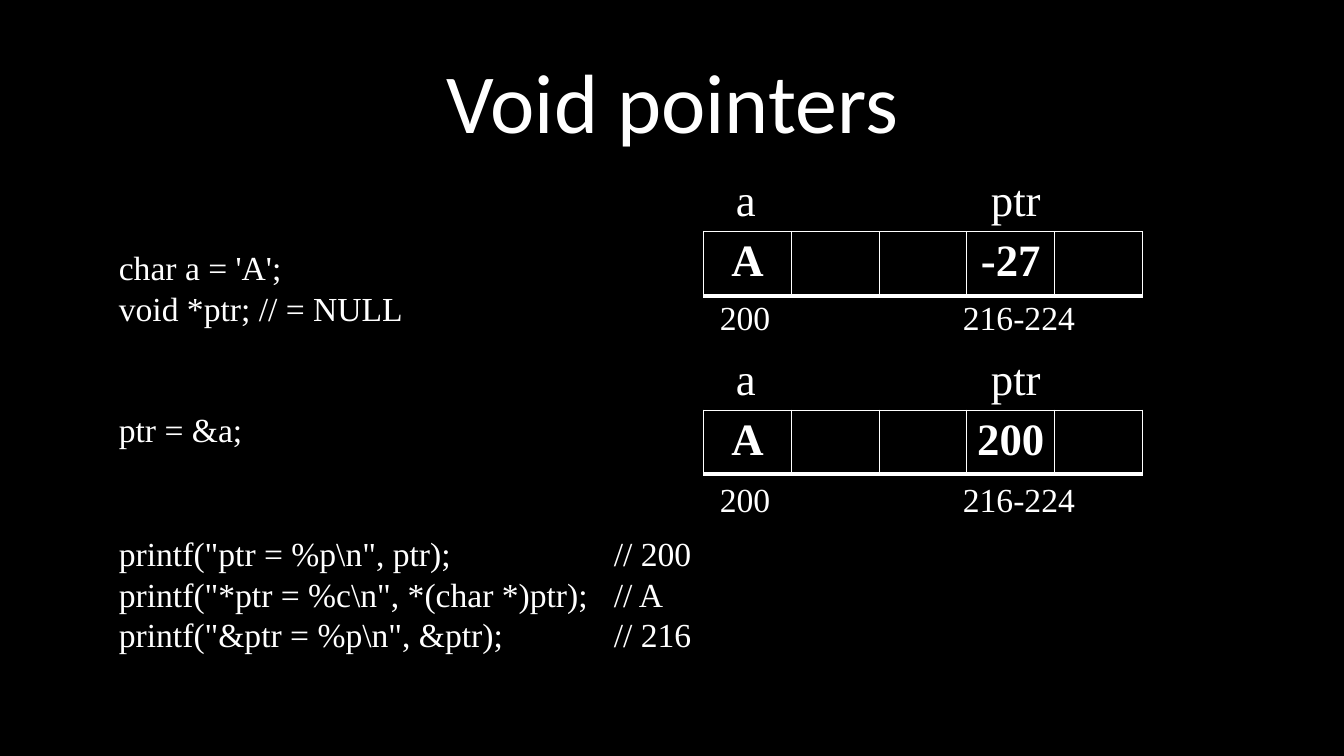
"""Build the slide on void pointers with code and two memory diagrams."""
from pptx import Presentation
from pptx.dml.color import RGBColor
from pptx.enum.text import MSO_ANCHOR, MSO_AUTO_SIZE, PP_ALIGN
from pptx.oxml.ns import qn
from pptx.util import Pt
from lxml.etree import SubElement

BLACK = RGBColor(0x00, 0x00, 0x00)
WHITE = RGBColor(0xFF, 0xFF, 0xFF)
SERIF = "Times New Roman"
CODE_LINE = 28.9
MEMORY_LEFT, CELL_WIDTH, CELL_HEIGHT = 502.6, 62.7, 45.4


def add_run(paragraph, text, size, font=SERIF, bold=False):
    run = paragraph.add_run()
    run.text = text
    run.font.size = Pt(size)
    run.font.name = font
    run.font.bold = bold
    run.font.color.rgb = WHITE


def add_lines(left, top, width, height, lines, size, tab, spacing=None):
    frame = slide.shapes.add_textbox(Pt(left), Pt(top), Pt(width), Pt(height)).text_frame
    frame.word_wrap = True
    for index, (text, blank_lines) in enumerate(lines):
        paragraph = frame.paragraphs[0] if index == 0 else frame.add_paragraph()
        if spacing:
            paragraph.line_spacing = Pt(spacing)
            paragraph.space_before = Pt(blank_lines * spacing)
        if tab:
            stops = SubElement(paragraph._p.get_or_add_pPr(), qn("a:tabLst"))
            SubElement(stops, qn("a:tab"), pos=str(Pt(tab)), algn="l")
        add_run(paragraph, text, size)


prs = Presentation()
prs.slide_width, prs.slide_height = Pt(960), Pt(540)
slide = prs.slides.add_slide(prs.slide_layouts[5])
slide.background.fill.solid()
slide.background.fill.fore_color.rgb = BLACK

title = slide.shapes.title
title.left, title.top, title.width, title.height = Pt(125.3), Pt(20.9), Pt(709.9), Pt(91.4)
title.text_frame.auto_size = MSO_AUTO_SIZE.NONE
title.text_frame.vertical_anchor = MSO_ANCHOR.BOTTOM
heading = title.text_frame.paragraphs[0]
heading.alignment = PP_ALIGN.CENTER
heading.line_spacing = 0.9
add_run(heading, "Void pointers", 60, "Calibri")

declarations = [("char a = 'A';", 0), ("void *ptr; // = NULL", 0), ("ptr = &a;", 2)]
add_lines(77.8, 172.8, 254, 152, declarations, 24, None, CODE_LINE)

printouts = [
    ('printf("ptr = %p\\n", ptr);\t// 200', 0),
    ('printf("*ptr = %c\\n", *(char *)ptr);\t// A', 0),
    ('printf("&ptr = %p\\n", &ptr);\t// 216', 0),
]
add_lines(77.8, 377.2, 481, 94, printouts, 24, 353.5, CODE_LINE)

for memory_top, address_top, pointer_value in ((165.6, 208.7, "-27"), (293, 338.3, "200")):
    add_lines(518.5, memory_top - 46.4, 300, 46, [("a\tptr", 0)], 32, 182.2)
    memory = slide.shapes.add_table(
        1, 5, Pt(MEMORY_LEFT), Pt(memory_top), Pt(5 * CELL_WIDTH), Pt(CELL_HEIGHT)
    ).table
    memory.rows[0].height = Pt(CELL_HEIGHT)
    for column, value in enumerate(("A", "", "", pointer_value, "")):
        memory.columns[column].width = Pt(CELL_WIDTH)
        cell = memory.cell(0, column)
        for side, weight in (("lnL", 1), ("lnR", 1), ("lnT", 1), ("lnB", 3)):
            border = SubElement(cell._tc.get_or_add_tcPr(), qn("a:" + side), w=str(Pt(weight)))
            border_fill = SubElement(border, qn("a:solidFill"))
            SubElement(border_fill, qn("a:srgbClr"), val=str(WHITE))
        cell.fill.solid()
        cell.fill.fore_color.rgb = BLACK
        if value:
            content = cell.text_frame.paragraphs[0]
            content.alignment = PP_ALIGN.CENTER
            add_run(content, value, 32, bold=True)
    add_lines(507.1, address_top, 300, 36, [("200\t216-224", 0)], 24, 173.6)

prs.save("out.pptx")
